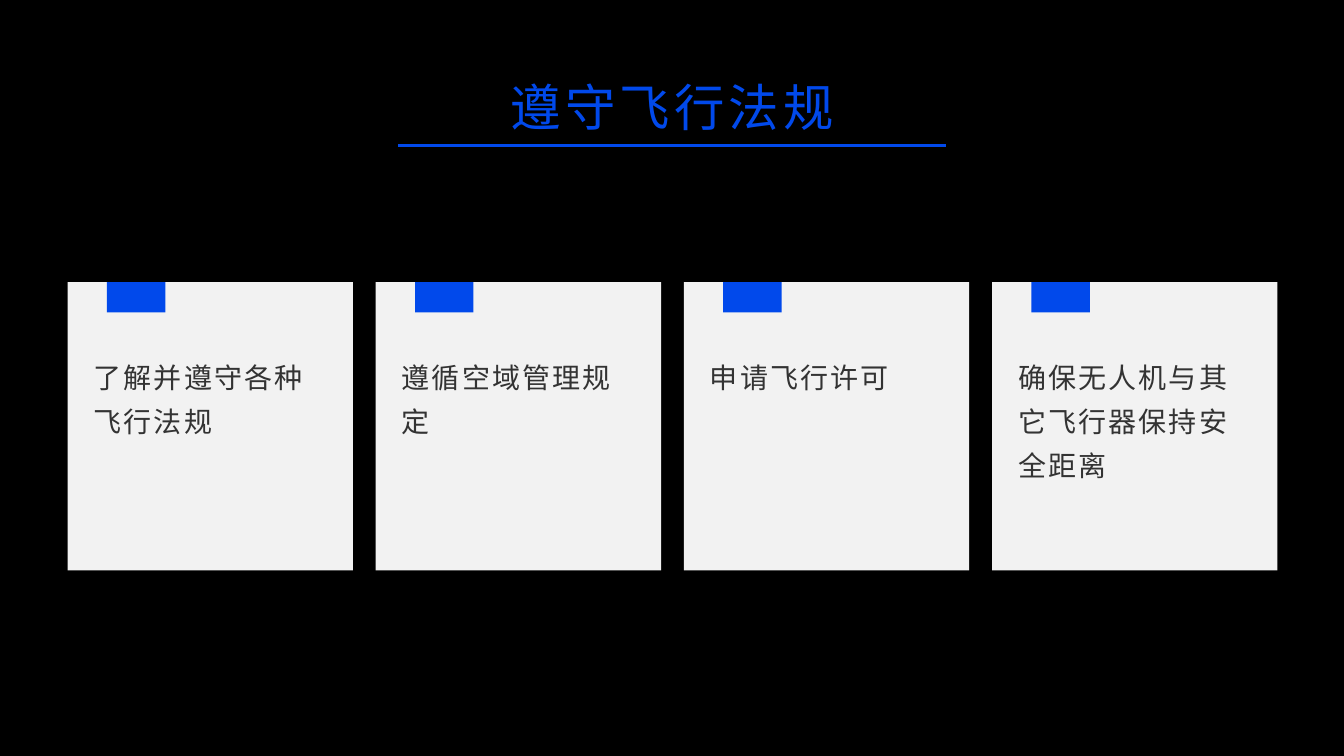
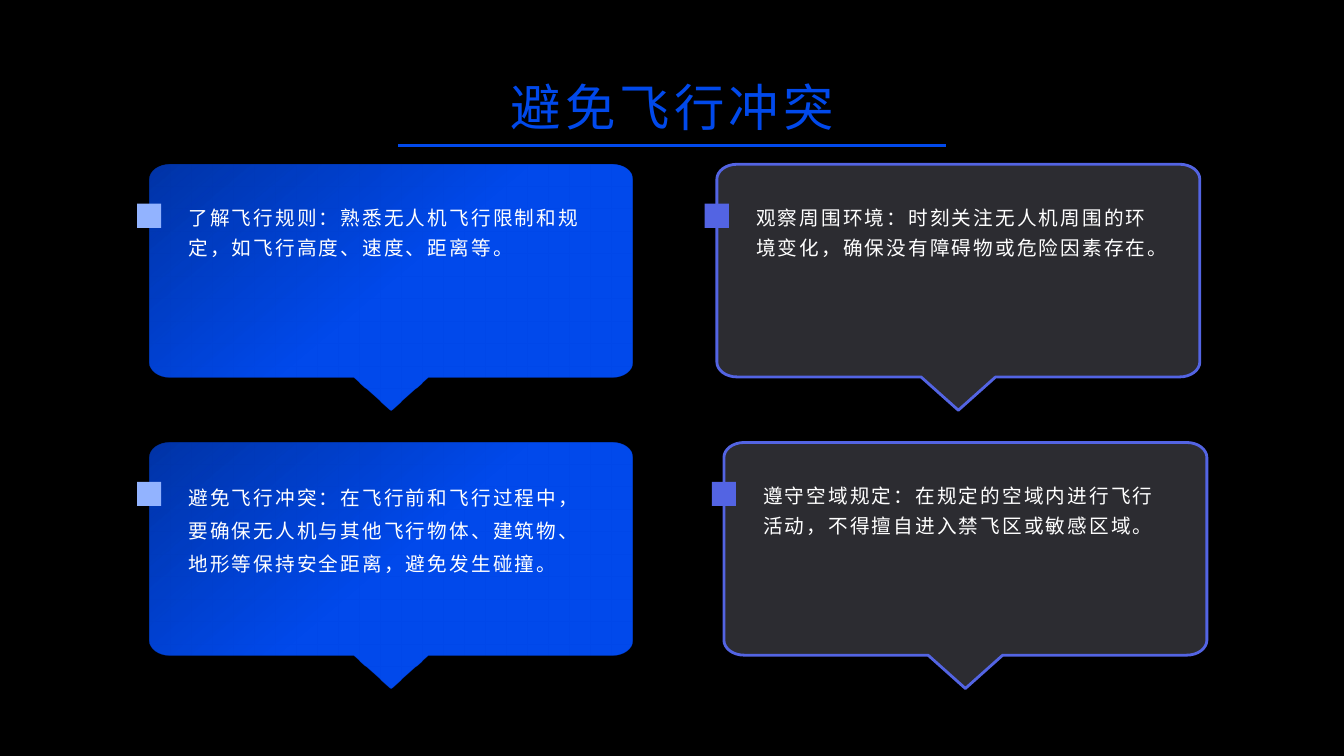
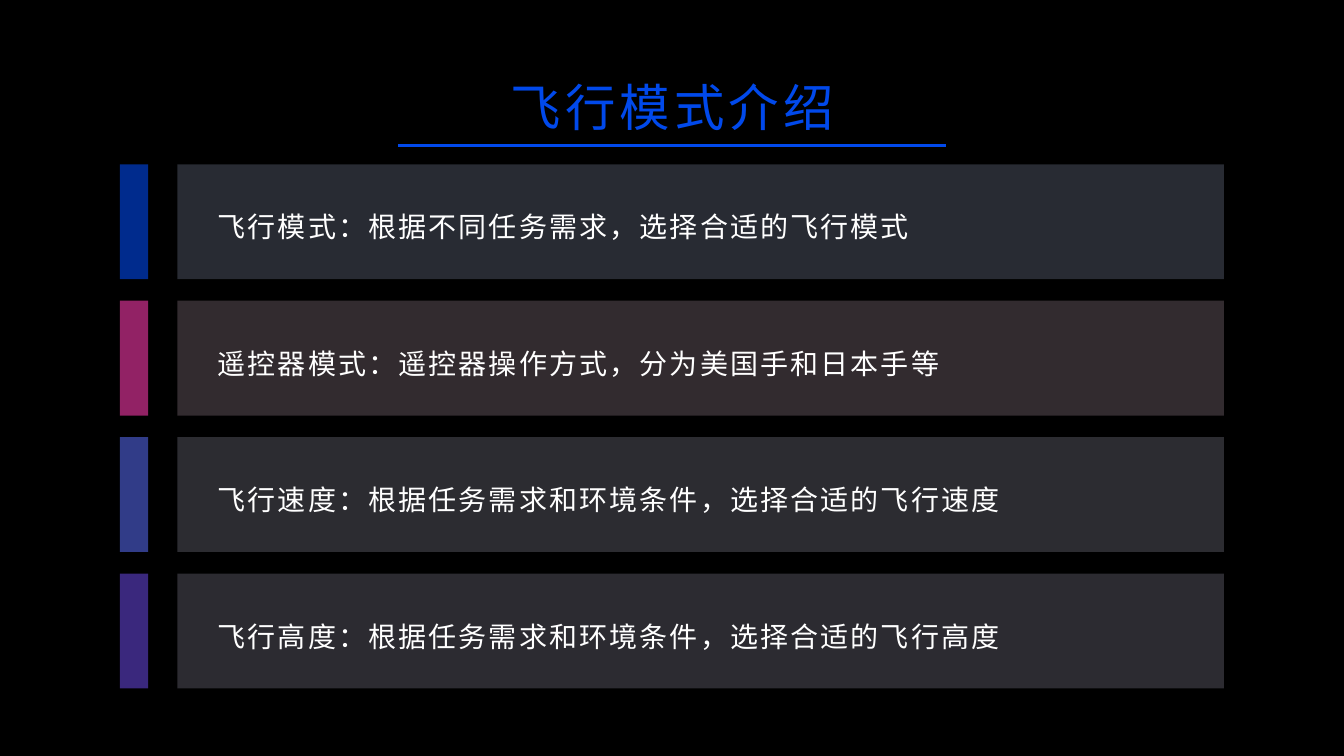
from dataclasses import dataclass
from math import cos, pi, sin

from lxml.etree import SubElement
from pptx import Presentation
from pptx.dml.color import RGBColor
from pptx.enum.shapes import MSO_CONNECTOR, MSO_SHAPE
from pptx.enum.text import MSO_ANCHOR as ANCHOR, PP_ALIGN as ALIGN
from pptx.oxml.ns import qn
from pptx.util import Inches, Pt


@dataclass(frozen=True)
class Theme:
    back: str = "000000"
    blue: str = "0149EB"
    sky: str = "92B3FF"
    indigo: str = "5364E3"
    violet: str = "6243D1"
    pink: str = "F43AA9"
    pale_blue: str = "C8D9FF"
    pale_pink: str = "FDD8EE"
    pale_indigo: str = "DDE0F9"
    pale_violet: str = "E0D9F6"
    card: str = "F2F2F2"
    dark: str = "333333"
    white: str = "FFFFFF"
    font: str = "Roboto"
    callout_font: str = "Arial"
    title_size: int = 36
    body_size: int = 20
    callout_size: int = 14
    line_width: int = 2


T = Theme()


def rgb(value):
    return RGBColor.from_string(value)


def set_alpha(color_parent, percent):
    color = next(color_parent.iter(qn("a:srgbClr")))
    SubElement(color, qn("a:alpha")).set("val", str(percent * 1000))


def fill_solid(sp, color, alpha=100):
    sp.fill.solid()
    sp.fill.fore_color.rgb = rgb(color)
    if alpha < 100:
        set_alpha(sp._element.spPr, alpha)


def fill_fade(sp, color, alpha):
    sp.fill.gradient()
    sp.fill.gradient_angle = 310
    for stop, position in zip(sp.fill.gradient_stops, (0, 0.5)):
        stop.color.rgb = rgb(color)
        stop.position = position
    set_alpha(sp._element.spPr, alpha)


def add_rect(s, x, y, w, h, color, alpha=100):
    sp = s.shapes.add_shape(MSO_SHAPE.RECTANGLE, Inches(x), Inches(y), Inches(w), Inches(h))
    sp.shadow.inherit = False
    sp.line.fill.background()
    fill_solid(sp, color, alpha)


def add_text(s, x, y, w, h, text, size=T.body_size, color=T.white, font=T.font,
             spacing=1.5, leading=1.3, align=ALIGN.LEFT, anchor=ANCHOR.TOP):
    tf = s.shapes.add_textbox(Inches(x), Inches(y), Inches(w), Inches(h)).text_frame
    tf.word_wrap = True
    tf.vertical_anchor = anchor
    p = tf.paragraphs[0]
    p.alignment = align
    p.line_spacing = leading
    r = p.add_run()
    r.text = text
    r.font.size = Pt(size)
    r.font.color.rgb = rgb(color)
    r.font.name = font
    props = r.font._element
    SubElement(props, qn("a:ea")).set("typeface", font)
    props.set("lang", "zh-CN")
    props.set("spc", str(int(spacing * 100)))


def add_titled_slide(prs, title):
    s = prs.slides.add_slide(prs.slide_layouts[6])
    rule = s.shapes.add_connector(MSO_CONNECTOR.STRAIGHT, Inches(3.95), Inches(1.44),
                                  Inches(9.38), Inches(1.44))
    rule.line.color.rgb = rgb(T.blue)
    rule.line.width = Pt(T.line_width)
    SubElement(rule._element.spPr, qn("a:effectLst"))
    add_text(s, 0.67, 0.67, 12, 0.77, title, T.title_size, T.blue, spacing=3,
             leading=1.0, align=ALIGN.CENTER, anchor=ANCHOR.MIDDLE)
    return s


def bubble_points(x, y):
    w, h, tail_w, tail_h = 4.79, 2.11, 0.74, 0.33
    rx, ry, steps = 0.2, 0.15, 8

    def corner(cx, cy, start):
        angles = [start + pi / 2 * i / steps for i in range(steps + 1)]
        return [(cx + rx * cos(a), cy + ry * sin(a)) for a in angles]

    left, right, top, bottom = x + rx, x + w - rx, y + ry, y + h - ry
    mid = x + w / 2
    tail = [(mid + tail_w / 2, y + h), (mid, y + h + tail_h), (mid - tail_w / 2, y + h)]
    return (corner(left, top, pi) + corner(right, top, 1.5 * pi)
            + corner(right, bottom, 0) + tail + corner(left, bottom, pi / 2))


def add_callout(s, x, y, text, outlined, leading=1.3):
    points = [(Inches(px), Inches(py)) for px, py in bubble_points(x, y)]
    builder = s.shapes.build_freeform(*points[0])
    builder.add_line_segments(points[1:], close=True)
    sp = builder.convert_to_shape()
    sp.shadow.inherit = False
    if outlined:
        fill_solid(sp, T.pale_indigo, 20)
        sp.line.color.rgb = rgb(T.indigo)
        sp.line.width = Pt(T.line_width)
    else:
        fill_fade(sp, T.blue, 70)
        sp.line.fill.background()
    add_rect(s, x - 0.12, y + 0.39, 0.24, 0.24, T.indigo if outlined else T.sky)
    add_text(s, x + 0.29, y + 0.29, 4.21, 1.38, text, T.callout_size,
             font=T.callout_font, leading=leading)


def add_card(s, x, text):
    add_rect(s, x, 2.8, 2.83, 2.86, T.card)
    add_rect(s, x + 0.39, 2.8, 0.58, 0.3, T.blue)
    add_text(s, x + 0.16, 3.43, 2.49, 2.01, text, color=T.dark)


def add_bar(s, y, text, accent, tint):
    h = 1.14
    add_rect(s, 1.76, y, 10.38, h, tint, 20)
    add_rect(s, 1.19, y, 0.28, h, accent, 60)
    add_text(s, 2.06, y + 0.1, 9.93, h - 0.2, text, anchor=ANCHOR.MIDDLE)


def build_rules(prs):
    s = add_titled_slide(prs, "遵守飞行法规")
    cards = ("了解并遵守各种飞行法规", "遵循空域管理规定", "申请飞行许可",
             "确保无人机与其它飞行器保持安全距离")
    pitch = (12 - 2.83) / (len(cards) - 1)
    for i, text in enumerate(cards):
        add_card(s, 0.67 + i * pitch, text)


def build_conflicts(prs):
    s = add_titled_slide(prs, "避免飞行冲突")
    upper, lower = 1.63, 4.39
    add_callout(s, 1.48, upper, "了解飞行规则：熟悉无人机飞行限制和规定，如飞行高度、速度、距离等。", False)
    add_callout(s, 7.11, upper, "观察周围环境：时刻关注无人机周围的环境变化，确保没有障碍物或危险因素存在。", True)
    add_callout(s, 1.48, lower, "避免飞行冲突：在飞行前和飞行过程中，要确保无人机与其他飞行物体、建筑物、"
                "地形等保持安全距离，避免发生碰撞。", False, leading=1.4)
    add_callout(s, 7.18, lower, "遵守空域规定：在规定的空域内进行飞行活动，不得擅自进入禁飞区或敏感区域。", True)


def build_modes(prs):
    s = add_titled_slide(prs, "飞行模式介绍")
    bars = (
        ("飞行模式：根据不同任务需求，选择合适的飞行模式", T.blue, T.pale_blue),
        ("遥控器模式：遥控器操作方式，分为美国手和日本手等", T.pink, T.pale_pink),
        ("飞行速度：根据任务需求和环境条件，选择合适的飞行速度", T.indigo, T.pale_indigo),
        ("飞行高度：根据任务需求和环境条件，选择合适的飞行高度", T.violet, T.pale_violet),
    )
    pitch = (5.69 - 1.63) / (len(bars) - 1)
    for i, bar in enumerate(bars):
        add_bar(s, 1.63 + i * pitch, *bar)


def main():
    prs = Presentation()
    prs.slide_width, prs.slide_height = Inches(13.33), Inches(7.5)
    back = prs.slide_master.background.fill
    back.solid()
    back.fore_color.rgb = rgb(T.back)
    build_rules(prs)
    build_conflicts(prs)
    build_modes(prs)
    prs.save("out.pptx")


if __name__ == "__main__":
    main()
